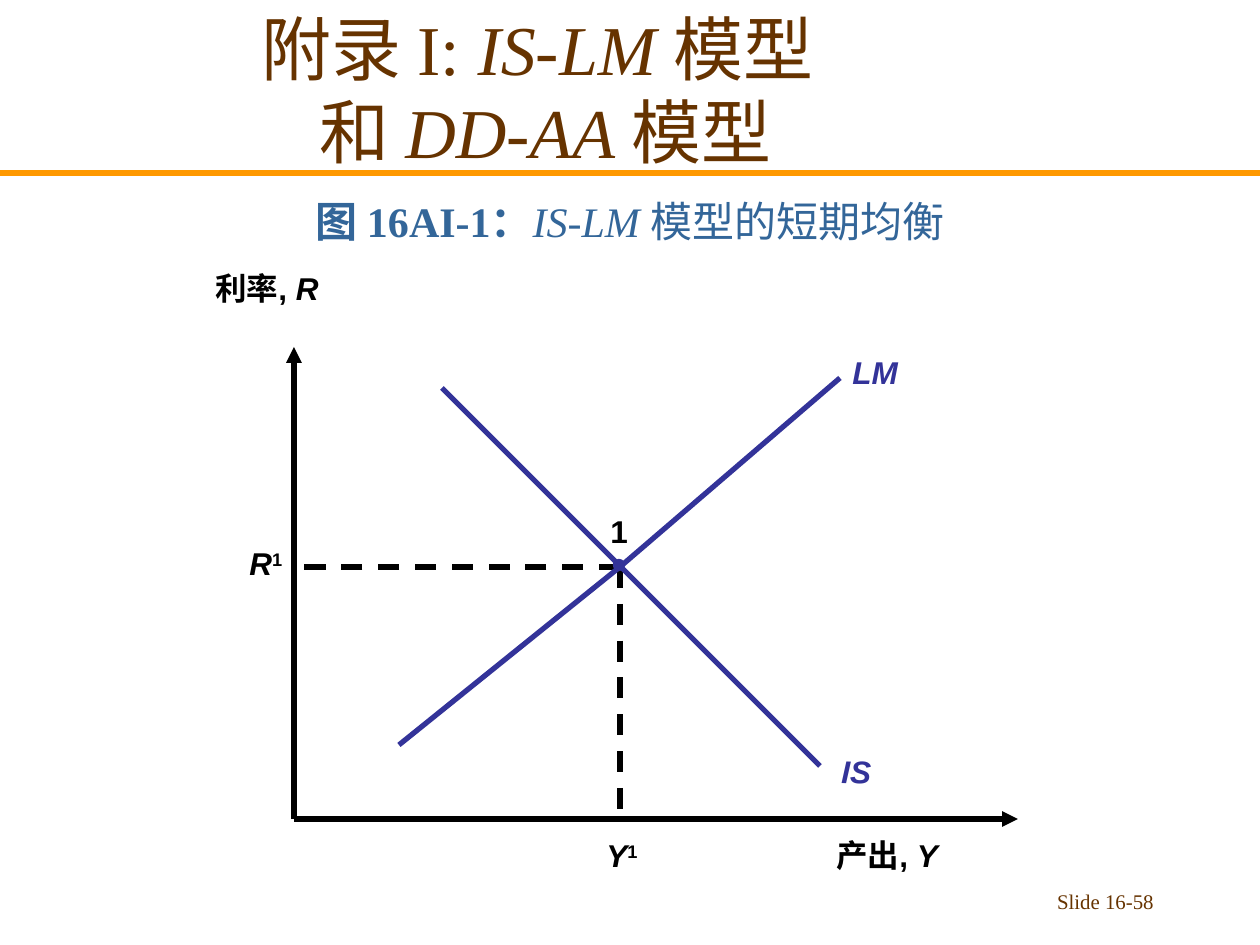
from copy import deepcopy

from lxml import etree
from pptx import Presentation
from pptx.dml.color import RGBColor
from pptx.enum.dml import MSO_LINE
from pptx.enum.shapes import MSO_CONNECTOR, MSO_SHAPE
from pptx.enum.text import MSO_ANCHOR, MSO_AUTO_SIZE, PP_ALIGN
from pptx.oxml.ns import qn
from pptx.util import Emu, Pt

STRAIGHT = MSO_CONNECTOR.STRAIGHT
OVAL = MSO_SHAPE.OVAL
DASH = MSO_LINE.DASH
LEFT, CENTER, RIGHT = PP_ALIGN.LEFT, PP_ALIGN.CENTER, PP_ALIGN.RIGHT
TOP, MIDDLE, BOTTOM = MSO_ANCHOR.TOP, MSO_ANCHOR.MIDDLE, MSO_ANCHOR.BOTTOM
NO_AUTOFIT = MSO_AUTO_SIZE.NONE

PX_PER_INCH = 126
SLIDE_WIDTH, SLIDE_HEIGHT = 1260, 945
RULE_TOP = 173
LABEL_HEIGHT = 50
ORIGIN = (294, 819)
EQUILIBRIUM = (620, 567)


class Theme:
    brown = RGBColor.from_string("663300")
    orange = RGBColor.from_string("FF9900")
    steel = RGBColor.from_string("336699")
    curve = RGBColor.from_string("333399")
    black = RGBColor.from_string("000000")
    serif = "Times New Roman"
    line_width = Pt(3)
    title = {"name": serif, "size": Pt(40), "color": brown}
    caption = {"name": serif, "size": Pt(24), "color": steel}
    footer = {"name": serif, "size": Pt(11.9), "color": brown}
    axis_label = {"name": "Arial", "size": Pt(18), "color": black, "bold": True}
    curve_label = {**axis_label, "color": curve}


ITALIC = {"italic": True}
BOLD = {"bold": True}
SUPERSCRIPT = {"baseline": "30000"}


def px(length):
    return Emu(round(length * 914400 / PX_PER_INCH))


def place(element, box):
    for side, length in zip(("left", "top", "width", "height"), box):
        setattr(element, side, px(length))


def write_run(paragraph, text, style):
    run = paragraph.add_run()
    run.text = text
    for attribute, value in style.items():
        if attribute == "color":
            run.font.color.rgb = value
        elif attribute == "baseline":
            run._r.get_or_add_rPr().set("baseline", value)
        else:
            setattr(run.font, attribute, value)
    return run


def fill_text(frame, lines, style, align, anchor):
    frame.vertical_anchor = anchor
    paragraph = frame.paragraphs[0]
    paragraph.alignment = align
    for number, pieces in enumerate(lines):
        if number:
            paragraph.add_line_break()
            paragraph._p[-1].append(deepcopy(last._r.rPr))
        for text, emphasis in pieces:
            last = write_run(paragraph, text, {**style, **emphasis})


def add_title(slide, lines):
    title = slide.shapes.title
    place(title, (10, 10, 1071, 158))
    title.text_frame.auto_size = NO_AUTOFIT
    fill_text(title.text_frame, lines, Theme.title, CENTER, MIDDLE)


def add_text(slide, box, pieces, style, align=LEFT, anchor=TOP, wrap=True):
    textbox = slide.shapes.add_textbox(*map(px, box))
    textbox.text_frame.word_wrap = wrap
    fill_text(textbox.text_frame, [pieces], style, align, anchor)
    return textbox


def add_label(slide, left, top, width, pieces, style=Theme.axis_label):
    return add_text(slide, (left, top, width, LABEL_HEIGHT), pieces, style, wrap=False)


def add_line(slide, start, end, color, dash=None, arrow=False):
    line = slide.shapes.add_connector(STRAIGHT, *map(px, start + end))
    line.line.color.rgb = color
    line.line.width = Theme.line_width
    if dash:
        line.line.dash_style = dash
    if arrow:
        etree.SubElement(line.line._get_or_add_ln(), qn("a:tailEnd"), type="triangle")
    etree.SubElement(line._element.spPr, qn("a:effectLst"))


def add_curve(slide, points, color):
    start, *rest = [tuple(map(px, point)) for point in points]
    builder = slide.shapes.build_freeform(*start)
    builder.add_line_segments(rest, close=False)
    curve = builder.convert_to_shape()
    curve.shadow.inherit = False
    curve.fill.background()
    curve.line.color.rgb = color
    curve.line.width = Theme.line_width


def add_point(slide, center, diameter, color):
    x, y = center
    box = (x - diameter / 2, y - diameter / 2, diameter, diameter)
    point = slide.shapes.add_shape(OVAL, *map(px, box))
    point.shadow.inherit = False
    point.fill.solid()
    point.fill.fore_color.rgb = color
    point.line.color.rgb = color
    point.line.width = Pt(0.75)


def draw_axes(slide):
    x, y = ORIGIN
    for tip in ((x, 347), (1018, y)):
        add_line(slide, ORIGIN, tip, Theme.black, arrow=True)
    add_label(slide, 203, 263, 136, [("利率, ", {}), ("R", ITALIC)])
    add_label(slide, 824, 830, 136, [("产出, ", {}), ("Y", ITALIC)])


def draw_equilibrium(slide):
    x, y = EQUILIBRIUM
    for foot in ((ORIGIN[0], y), (x, ORIGIN[1])):
        add_line(slide, EQUILIBRIUM, foot, Theme.black, dash=DASH)
    add_label(slide, 237, 538, 58, [("R", ITALIC), ("1", SUPERSCRIPT)])
    add_label(slide, 594, 830, 57, [("Y", ITALIC), ("1", SUPERSCRIPT)])
    add_label(slide, 598, 506, 43, [("1", {})])
    add_point(slide, (x - 1, y - 2), 11, Theme.curve)


def draw_curves(slide):
    add_curve(slide, [(399, 745), EQUILIBRIUM, (840, 378)], Theme.curve)
    add_label(slide, 840, 347, 71, [("LM", ITALIC)], Theme.curve_label)
    add_line(slide, (442, 388), (820, 766), Theme.curve)
    is_label = add_label(slide, 829, 746, 64, [("IS", ITALIC)], Theme.curve_label)
    is_label.rotation = 1.6


def main():
    deck = Presentation()
    deck.slide_width, deck.slide_height = px(SLIDE_WIDTH), px(SLIDE_HEIGHT)
    slide = deck.slides.add_slide(deck.slide_layouts[5])

    add_line(slide, (0, RULE_TOP), (SLIDE_WIDTH, RULE_TOP), Theme.orange)
    add_title(slide, [
        [("附录 I: ", {}), ("IS", ITALIC), ("-", {}), ("LM ", ITALIC), ("模型 ", {})],
        [("和 ", {}), ("DD", ITALIC), ("-", {}), ("AA ", ITALIC), ("模型", {})],
    ])
    add_text(slide, (0, 179, SLIDE_WIDTH, 73), [
        ("图 16AI-1：", BOLD), ("IS", ITALIC), ("-", {}), ("LM ", ITALIC),
        ("模型的短期均衡", {}),
    ], Theme.caption, CENTER, BOTTOM)
    draw_axes(slide)
    draw_equilibrium(slide)
    draw_curves(slide)
    add_text(slide, (904, 883, 262, 40), [("Slide 16-58", {})], Theme.footer, RIGHT)

    deck.save("out.pptx")


if __name__ == "__main__":
    main()
